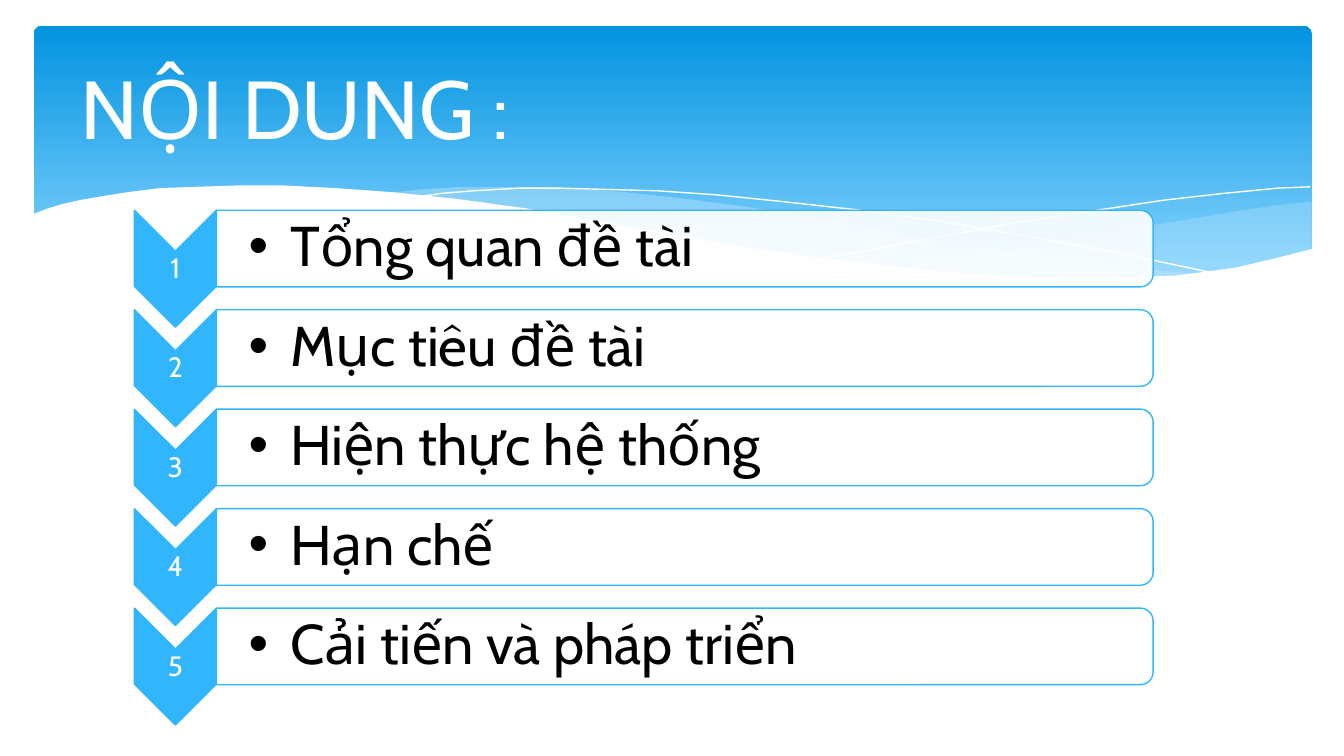
from collections import namedtuple
from lxml.etree import SubElement
from pptx import Presentation
from pptx.dml.color import RGBColor
from pptx.enum.shapes import MSO_SHAPE
from pptx.enum.text import MSO_ANCHOR, MSO_AUTO_SIZE, PP_ALIGN
from pptx.oxml.ns import qn
from pptx.util import Inches, Pt

Box = namedtuple("Box", "x y w h")
WIDE = Inches(10)
HIGH = WIDE * 9 // 16
CELL = WIDE // 1000
PAGE = Box(0, 0, 1000, 562.5)
FONT, WHITE, BLACK, BLUE, PALE = "Cabin", "FFFFFF", "000000", "31B6FD", "C6E7FC"
TITLE = "NỘI DUNG :"
ITEMS = ["Tổng quan đề tài", "Mục tiêu đề tài", "Hiện thực hệ thống",
         "Hạn chế", "Cải tiến và pháp triển"]

RIGHT = [(975, 150), (948, 153), (921, 157), (891, 162), (861, 167), (805, 177),
         (753, 186), (706, 193), (661, 199), (691, 202), (719, 204), (745, 206),
         (781, 208), (835, 208), (872, 206), (905, 202), (928, 198), (949, 193),
         (976, 185), (976, 150)]
MIDDLE = [(893, 204), (837, 199), (775, 191), (706, 180), (629, 166), (584, 158),
          (541, 152), (502, 147), (465, 143), (420, 140), (380, 139), (344, 139),
          (313, 141), (286, 144), (323, 147), (362, 152), (404, 158), (449, 166),
          (530, 180), (601, 191), (650, 198), (695, 203), (736, 206), (773, 208),
          (807, 209), (848, 208), (876, 206), (893, 204)]
FALL = [(309, 147), (328, 144), (353, 142), (387, 140), (416, 140), (450, 141),
        (489, 142), (533, 145), (582, 150), (636, 156), (695, 164), (760, 175),
        (831, 188), (907, 204)]
RISE = [(613, 192), (653, 185), (695, 177), (748, 167), (806, 158), (866, 149),
        (910, 144), (951, 140), (975, 139)]
FRONT = [(977, 185), (950, 192), (920, 199), (899, 202), (875, 205), (850, 206),
         (823, 207), (793, 207), (761, 206), (726, 204), (688, 201), (648, 196),
         (603, 191), (555, 184), (503, 175), (447, 165), (391, 155), (340, 148),
         (292, 143), (250, 140), (211, 138), (177, 138), (146, 139), (119, 140),
         (95, 143), (76, 146), (59, 149), (46, 152), (36, 155), (23, 160),
         (23, 247), (977, 247)]


def tint(hue):
    """Turn a hex string into a colour."""
    return RGBColor.from_string(hue)


def style(part, form):
    """Set each format value on a part."""
    for key, val in form.items():
        setattr(part, key, val)


def place(part, box):
    """Move a part to a box of grid cells."""
    sides = zip(("left", "top", "width", "height"), box)
    style(part, {side: int(size * CELL) for side, size in sides})


def paint(shape, fill=None, alpha=100, line=None, width=0):
    """Give a shape its fill and line, without a shadow."""
    shape.shadow.inherit = False
    if fill:
        shape.fill.solid()
        shape.fill.fore_color.rgb = tint(fill)
        hue = shape.fill.fore_color._xFill.find(qn("a:srgbClr"))
        SubElement(hue, qn("a:alpha"), val=str(alpha * 1000))
    else:
        shape.fill.background()
    if line:
        shape.line.color.rgb = tint(line)
        shape.line.width = Pt(width)
    else:
        shape.line.fill.background()


def write(shape, text, size, hue, inset=None, **form):
    """Put one formatted paragraph in a shape and return it."""
    frame = shape.text_frame
    style(frame, {"word_wrap": True, "auto_size": MSO_AUTO_SIZE.NONE,
                  "vertical_anchor": MSO_ANCHOR.MIDDLE})
    if inset:
        sides = ("margin_left", "margin_top", "margin_right", "margin_bottom")
        style(frame, {side: gap * CELL for side, gap in zip(sides, inset)})
    para = frame.paragraphs[0]
    style(para, form)
    run = para.add_run()
    run.text = text
    style(run.font, {"name": FONT, "size": Pt(size)})
    run.font.color.rgb = tint(hue)
    return para


def wave(slide, box, dots, close=True, **look):
    """Draw a curve from points relative to the box."""
    dots = [(box.x + x, box.y + y) for x, y in dots]
    pen = slide.shapes.build_freeform(*dots[0], scale=CELL)
    pen.add_line_segments(dots[1:], close=close)
    paint(pen.convert_to_shape(), **look)


def header(slide, box):
    """Draw the blue band and its waves."""
    band = slide.shapes.add_shape(MSO_SHAPE.ROUNDED_RECTANGLE, 0, 0, 0, 0)
    place(band, (box.x + 25, box.y + 19, box.w - 49, 202))
    paint(band)
    band.adjustments[0] = 0.03
    band.fill.gradient()
    band.fill.gradient_angle = 270
    for stop, hue, spot in zip(band.fill.gradient_stops, ("0293E0", "83D3FE"), (0, 0.9)):
        stop.color.rgb = tint(hue)
        stop.position = spot
    wave(slide, box, RIGHT, fill=PALE, alpha=29)
    wave(slide, box, MIDDLE, fill=PALE, alpha=40)
    for dots in (FALL, RISE):
        wave(slide, box, dots, close=False, line=WHITE)
    wave(slide, box, FRONT, fill=WHITE)


def heading(slide, box):
    """Place the title above the band."""
    title = slide.shapes.title
    slide.shapes.element.append(title.element)
    place(title, box)
    write(title, TITLE, 44, WHITE, alignment=PP_ALIGN.LEFT)


def turn(slide, kind, box, **look):
    """Add a shape turned a quarter so that it fills the box."""
    shape = slide.shapes.add_shape(kind, 0, 0, 0, 0)
    shift = (box.w - box.h) / 2
    place(shape, (box.x + shift, box.y - shift, box.h, box.w))
    shape.rotation = 90
    paint(shape, line=BLUE, width=0.75, **look)


def label(slide, box, *args, **form):
    """Add a text box."""
    area = slide.shapes.add_textbox(0, 0, 0, 0)
    place(area, box)
    return write(area, *args, line_spacing=0.9, **form)


def entry(slide, box, mark, text):
    """Draw one numbered row of the list."""
    x, y, w, h = box
    tag = 61
    turn(slide, MSO_SHAPE.CHEVRON, Box(x, y, tag, h), fill=BLUE)
    label(slide, (x, y + 31, tag, 26), str(mark), 15, WHITE, (1, 1, 1, 1),
          alignment=PP_ALIGN.CENTER)
    turn(slide, MSO_SHAPE.ROUND_2_SAME_RECTANGLE, Box(x + tag, y, w - tag, 57),
         fill=WHITE, alpha=90)
    para = label(slide, (x + tag, y + 3, w - tag - 3, 51), text, 30, BLACK,
                 (24, 2, 2, 2), alignment=PP_ALIGN.LEFT)
    props = para._p.get_or_add_pPr()
    style_tabs = {"marL": 31, "indent": -31}
    for key, gap in style_tabs.items():
        props.set(key, str(gap * CELL))
    SubElement(props, qn("a:buFont"), typeface="Arial")
    SubElement(props, qn("a:buChar"), char="•")


def agenda(slide, box, step=74):
    """Stack the rows of the list at equal steps."""
    tall = box.h - step * (len(ITEMS) - 1)
    for row, text in enumerate(ITEMS):
        entry(slide, Box(box.x, box.y + row * step, box.w, tall), row + 1, text)


def main():
    """Build and save the slide."""
    deck = Presentation()
    style(deck, {"slide_width": WIDE, "slide_height": HIGH})
    slide = deck.slides.add_slide(deck.slide_layouts[5])
    header(slide, PAGE)
    heading(slide, Box(50, 28, 900, 103))
    agenda(slide, Box(100, 156.5, 758, 383))
    deck.save("out.pptx")


if __name__ == "__main__":
    main()
